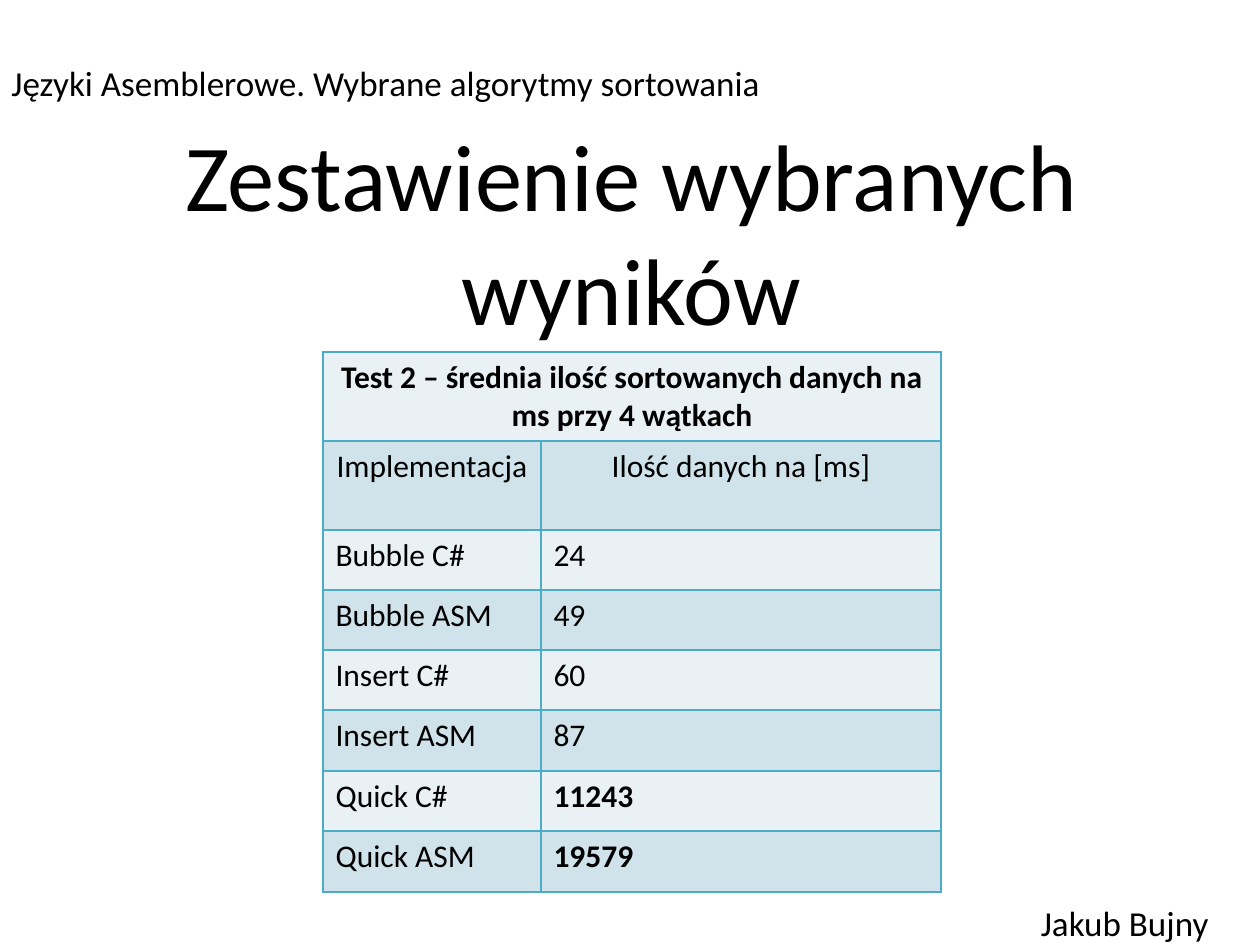
from lxml.etree import SubElement
from pptx import Presentation
from pptx.dml.color import RGBColor
from pptx.enum.text import MSO_AUTO_SIZE, PP_ALIGN
from pptx.oxml.ns import qn
from pptx.util import Emu, Pt

COLORS = {"text": "000000", "border": "4BACC6", "light": "E9F1F5", "dark": "D0E3EA"}
ROWS = [
    ("Test 2 – średnia ilość sortowanych danych na ms przy 4 wątkach", ""),
    ("Implementacja", "Ilość danych na [ms]"),
    ("Bubble C#", "24"),
    ("Bubble ASM", "49"),
    ("Insert C#", "60"),
    ("Insert ASM", "87"),
    ("Quick C#", "11243"),
    ("Quick ASM", "19579"),
]
BOLD = {ROWS[0][0], "11243", "19579"}


def px(n):
    return Emu(round(n * 914400 / 126))


class Deck:
    font = "Calibri"

    def __init__(self, width, height):
        self.prs = Presentation()
        self.prs.slide_width, self.prs.slide_height = px(width), px(height)
        self.s = self.prs.slides.add_slide(self.prs.slide_layouts[6])

    def color(self, name):
        return RGBColor.from_string(COLORS[name])

    def fill_text(self, tf, text, size, align, bold=False):
        tf.text = text
        p = tf.paragraphs[0]
        p.alignment = align
        for r in p.runs:
            r.font.name, r.font.size, r.font.bold = self.font, Pt(size), bold
            r.font.color.rgb = self.color("text")

    def text(self, x, y, w, h, text, size, align=PP_ALIGN.LEFT):
        tf = self.s.shapes.add_textbox(px(x), px(y), px(w), px(h)).text_frame
        tf.word_wrap = True
        tf.auto_size = MSO_AUTO_SIZE.SHAPE_TO_FIT_TEXT
        self.fill_text(tf, text, size, align)

    def borders(self, cell):
        tcPr = cell._tc.get_or_add_tcPr()
        for side in ("lnL", "lnR", "lnT", "lnB"):
            ln = SubElement(tcPr, qn(f"a:{side}"), w=str(Pt(1)))
            fill = SubElement(ln, qn("a:solidFill"))
            SubElement(fill, qn("a:srgbClr"), val=COLORS["border"])

    def table(self, x, y, cols, heights, rows, size, headers):
        table = self.s.shapes.add_table(
            len(rows), len(cols), px(x), px(y), px(sum(cols)), px(sum(heights))
        ).table
        for col, w in zip(table.columns, cols):
            col.width = px(w)
        for row, h in zip(table.rows, heights):
            row.height = px(h)
        table.cell(0, 0).merge(table.cell(0, len(cols) - 1))
        for i, values in enumerate(rows):
            align = PP_ALIGN.CENTER if i < headers else PP_ALIGN.LEFT
            for j, value in enumerate(values):
                cell = table.cell(i, j)
                self.borders(cell)
                cell.fill.solid()
                cell.fill.fore_color.rgb = self.color("dark" if i % 2 else "light")
                if value:
                    self.fill_text(cell.text_frame, value, size, align, value in BOLD)


def main():
    d = Deck(1260, 945)
    d.text(-1, 55, 789, 55, "Języki Asemblerowe. Wybrane algorytmy sortowania", 20)
    d.text(432, 895, 789, 55, "Jakub Bujny", 20, PP_ALIGN.RIGHT)
    d.text(1, 111, 1261, 242, "Zestawienie wybranych wyników", 54, PP_ALIGN.CENTER)
    heights = [89, 89, 60, 60, 60, 61, 60, 61]
    d.table(323, 352, [218, 400], heights, ROWS, 18, headers=2)
    d.prs.save("out.pptx")


if __name__ == "__main__":
    main()
